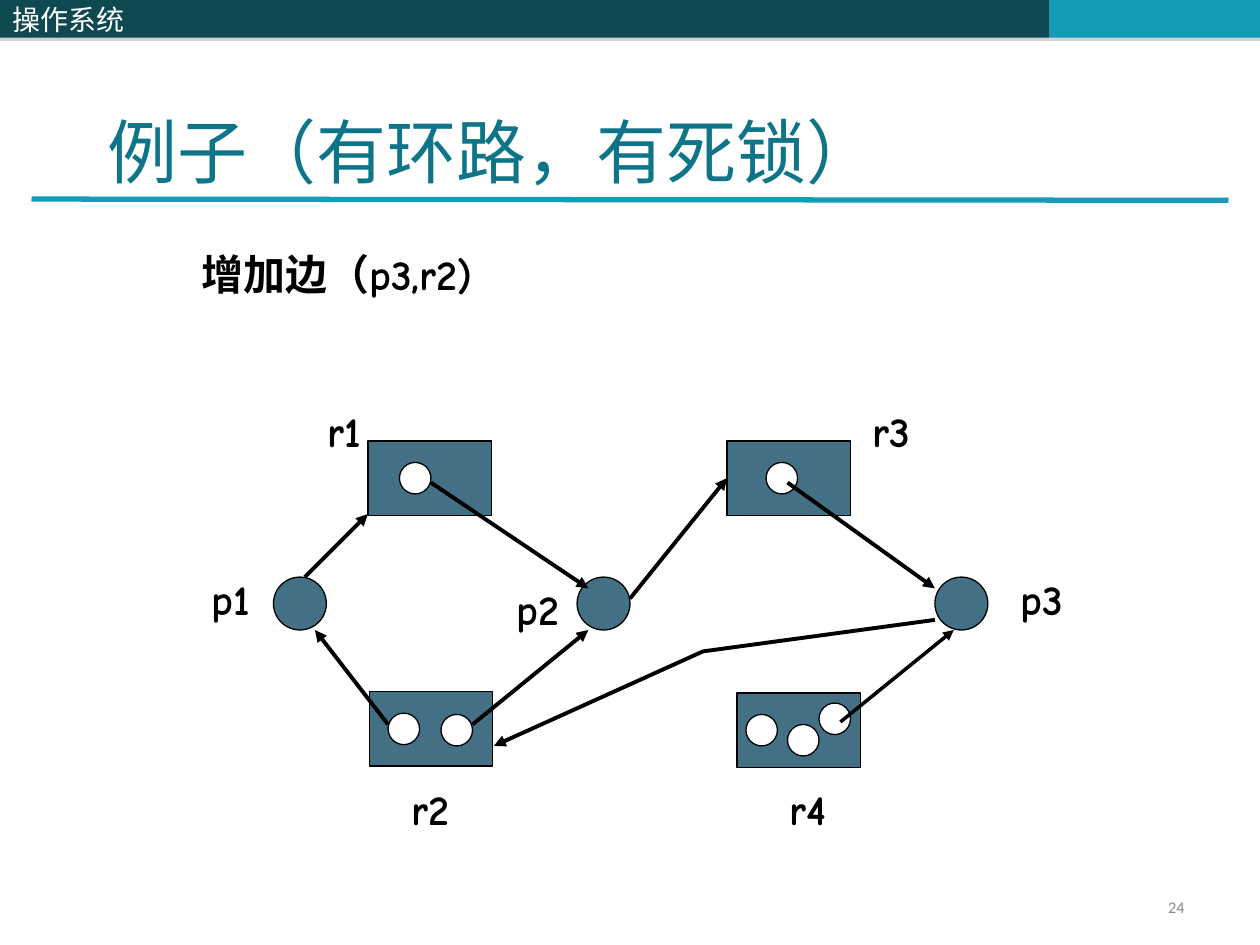
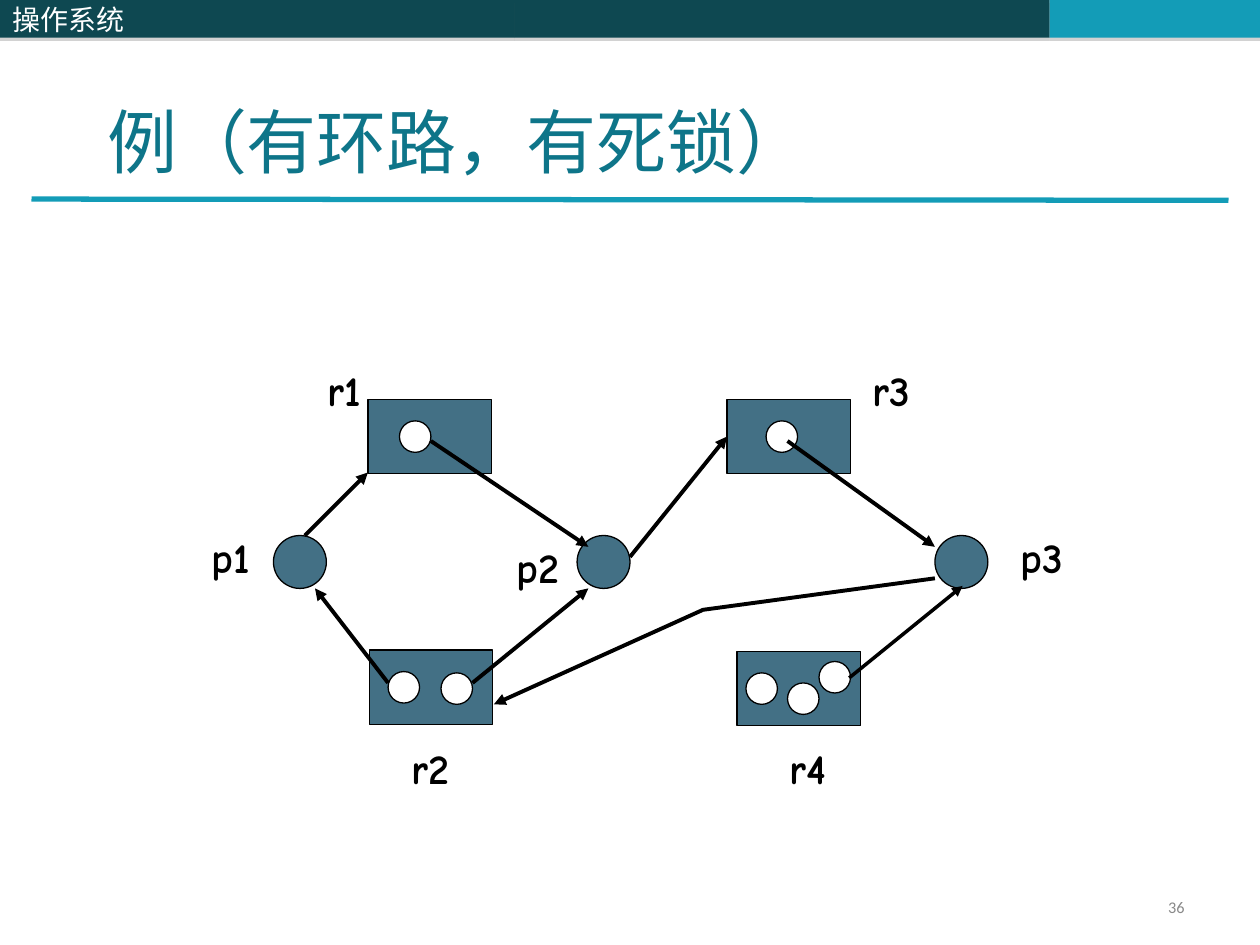
import pptx
import pptx.util
import pptx.dml.color
import pptx.enum.shapes
import pptx.enum.text
import pptx.oxml
import pptx.oxml.ns

Inches, Pt = pptx.util.Inches, pptx.util.Pt
SHAPE = pptx.enum.shapes.MSO_SHAPE
STRAIGHT = pptx.enum.shapes.MSO_CONNECTOR.STRAIGHT
ALIGN = pptx.enum.text.PP_ALIGN
ANCHOR = pptx.enum.text.MSO_ANCHOR
NS = pptx.oxml.ns.nsdecls("a")

# Content: the graph is placed as on the first slide, and "rise" lifts it
SLIDES = [
    {"title": "例子（有环路，有死锁）", "title_at": (0.75, 0.33, 8.5, 1.25), "number": "24",
     "rise": 0, "r4_edge": ((6.67, 5.73), (7.57, 5)),
     "note": [("增加边", "Times New Roman"), ("（p3,r2)", "Comic Neue")]},
    {"title": "例（有环路，有死锁）", "title_at": (0.75, 0.25, 8.84, 1.25), "number": "36",
     "rise": 0.33, "r4_edge": ((6.74, 5.71), (7.64, 4.98)), "note": []},
]
COURSE = "操作系统"
BANDS = [(4.08, 4.25, "dark", ""), (8.33, 1.67, "teal", ""), (0, 4.08, "dark", COURSE)]

# Resources: box corner, then the corners of its instance dots
RESOURCES = {
    "r1": ((2.92, 3.5), [(3.17, 3.67)]),
    "r3": ((5.77, 3.5), [(6.08, 3.67)]),
    "r2": ((2.93, 5.49), [(3.08, 5.66), (3.5, 5.67)]),
    "r4": ((5.85, 5.5), [(5.92, 5.67), (6.25, 5.75), (6.5, 5.58)]),
}
PROCESSES = {"p1": (2.17, 4.58), "p2": (4.58, 4.58), "p3": (7.42, 4.58)}
LABELS = {"p1": (1.58, 4.5), "p2": (4, 4.58), "p3": (8, 4.5), "r1": (2.5, 3.17),
          "r3": (6.83, 3.17), "r2": (3.17, 6.17), "r4": (6.17, 6.17)}
EDGES = [
    ((3.42, 3.83), (4.67, 4.67)), ((3.75, 5.75), (4.67, 5)),
    ((6.25, 3.83), (7.42, 4.67)), ((3.08, 5.75), (2.5, 5)),
    ((2.42, 4.58), (2.92, 4.08)),
]
P2_TO_R3 = ((5, 4.75), (5.75, 3.83))
P3_TO_R2 = [(7.42, 4.92), (5.58, 5.17), (3.92, 5.92)]
BOX, DOT, PROCESS = (0.98, 0.59), (0.25, 0.25), (0.42, 0.42)

# Shared look
COLORS = {"dark": "0E4851", "teal": "139CB7", "title": "0E7589", "node": "437085",
          "white": "FFFFFF", "black": "000000", "grey": "898989"}
CJK = "Noto Sans CJK SC"
FORMATS = {
    "title": {"size": Pt(40), "name": CJK, "color": "title"},
    "course": {"size": Pt(16), "name": CJK, "color": "white"},
    "number": {"size": Pt(9.3), "name": "Calibri", "color": "grey"},
    "label": {"size": Pt(24), "name": "Comic Neue", "bold": True, "color": "black"},
}


def rgb(key):
    return pptx.dml.color.RGBColor.from_string(COLORS[key])


def write(tf, runs, style, anchor=ANCHOR.TOP, align=ALIGN.LEFT):
    tf.word_wrap, tf.vertical_anchor = True, anchor
    p = tf.paragraphs[0]
    p.alignment = align
    for text, font in runs:
        r = p.add_run()
        r.text = text
        for name, value in {**FORMATS[style], "name": font}.items():
            if name == "color":
                r.font.color.rgb = rgb(value)
            else:
                setattr(r.font, name, value)
        ea = pptx.oxml.parse_xml(f'<a:ea {NS} typeface="{CJK}"/>')
        r.font._element.find(pptx.oxml.ns.qn("a:latin")).addnext(ea)
    return p


def add_text(shapes, text, style, at, **places):
    sp = shapes.add_textbox(*map(Inches, at))
    return write(sp.text_frame, [(text, FORMATS[style]["name"])], style, **places)


def add_box(shapes, kind, at, fill, outlined=True):
    sp = shapes.add_shape(kind, *map(Inches, at))
    sp.shadow.inherit = False
    sp.fill.solid()
    sp.fill.fore_color.rgb = rgb(fill)
    if outlined:
        sp.line.color.rgb, sp.line.width = rgb("black"), Pt(0.75)
    else:
        sp.line.fill.background()
    return sp


def style_line(sp, color, width, arrow=True):
    sp.line.color.rgb, sp.line.width = rgb(color), Pt(width)
    if arrow:
        sp.line._get_or_add_ln().append(
            pptx.oxml.parse_xml(f'<a:tailEnd {NS} type="triangle"/>'))


def add_line(shapes, start, end, color="black", width=2.25, arrow=True):
    c = shapes.add_connector(STRAIGHT, *map(Inches, (*start, *end)))
    style_line(c, color, width, arrow)
    c._element.spPr.append(pptx.oxml.parse_xml(f"<a:effectLst {NS}/>"))
    return c


def add_frame(s, number):
    # Top bands with a soft shadow, title rule, slide number
    for left, width, fill, text in BANDS:
        sp = add_box(s.shapes, SHAPE.RECTANGLE, (left, 0, width, 0.3), fill, outlined=False)
        sp._element.spPr.find(pptx.oxml.ns.qn("a:effectLst")).append(pptx.oxml.parse_xml(
            f'<a:outerShdw {NS} dist="{Pt(1.8)}" dir="5400000" rotWithShape="0">'
            '<a:srgbClr val="808080"><a:alpha val="35000"/></a:srgbClr></a:outerShdw>'))
        if text:
            write(sp.text_frame, [(text, CJK)], "course", ANCHOR.MIDDLE)
    add_line(s.shapes, (0.25, 1.58), (9.75, 1.59), "teal", 3, arrow=False)
    p = add_text(s.shapes, number, "number", (7.17, 7.08, 2.33, 0.27),
                 anchor=ANCHOR.MIDDLE, align=ALIGN.RIGHT)
    p.line_spacing = 0.8


def add_graph(shapes, rise, r4_edge):
    def lift(point):
        return point[0], point[1] - rise

    # Bent edge p3 to r2, behind the nodes
    start, *rest = [tuple(map(Inches, lift(point))) for point in P3_TO_R2]
    builder = shapes.build_freeform(*start)
    builder.add_line_segments(rest, close=False)
    sp = builder.convert_to_shape()
    sp.shadow.inherit = False
    sp.fill.background()
    style_line(sp, "black", 2.25)

    # Resource boxes with their instances, then processes
    boxes = {}
    for name, (corner, dots) in RESOURCES.items():
        boxes[name] = add_box(shapes, SHAPE.RECTANGLE, (*lift(corner), *BOX), "node")
        for dot in dots:
            add_box(shapes, SHAPE.OVAL, (*lift(dot), *DOT), "white")
    for corner in PROCESSES.values():
        add_box(shapes, SHAPE.OVAL, (*lift(corner), *PROCESS), "node")
    for name, corner in LABELS.items():
        add_text(shapes, name, "label", (*lift(corner), 0.67, 0.5))

    # Straight edges
    for start, end in EDGES:
        add_line(shapes, lift(start), lift(end))
    add_line(shapes, *map(lift, P2_TO_R3)).end_connect(boxes["r3"], 1)
    add_line(shapes, *map(lift, r4_edge), width=2)


def main():
    prs = pptx.Presentation()
    prs.slide_width, prs.slide_height = Inches(10), Inches(7.5)
    for page in SLIDES:
        s = prs.slides.add_slide(prs.slide_layouts[5])
        add_frame(s, page["number"])
        title = s.shapes.title
        for name, value in zip(("left", "top", "width", "height"), page["title_at"]):
            setattr(title, name, Inches(value))
        title.text_frame.auto_size = pptx.enum.text.MSO_AUTO_SIZE.NONE
        write(title.text_frame, [(page["title"], CJK)], "title", ANCHOR.BOTTOM)
        add_graph(s.shapes.add_group_shape().shapes, page["rise"], page["r4_edge"])
        if page["note"]:
            sp = s.shapes.add_textbox(*map(Inches, (1.5, 1.92, 5.83, 0.5)))
            write(sp.text_frame, page["note"], "label")
    prs.save("out.pptx")


if __name__ == "__main__":
    main()
